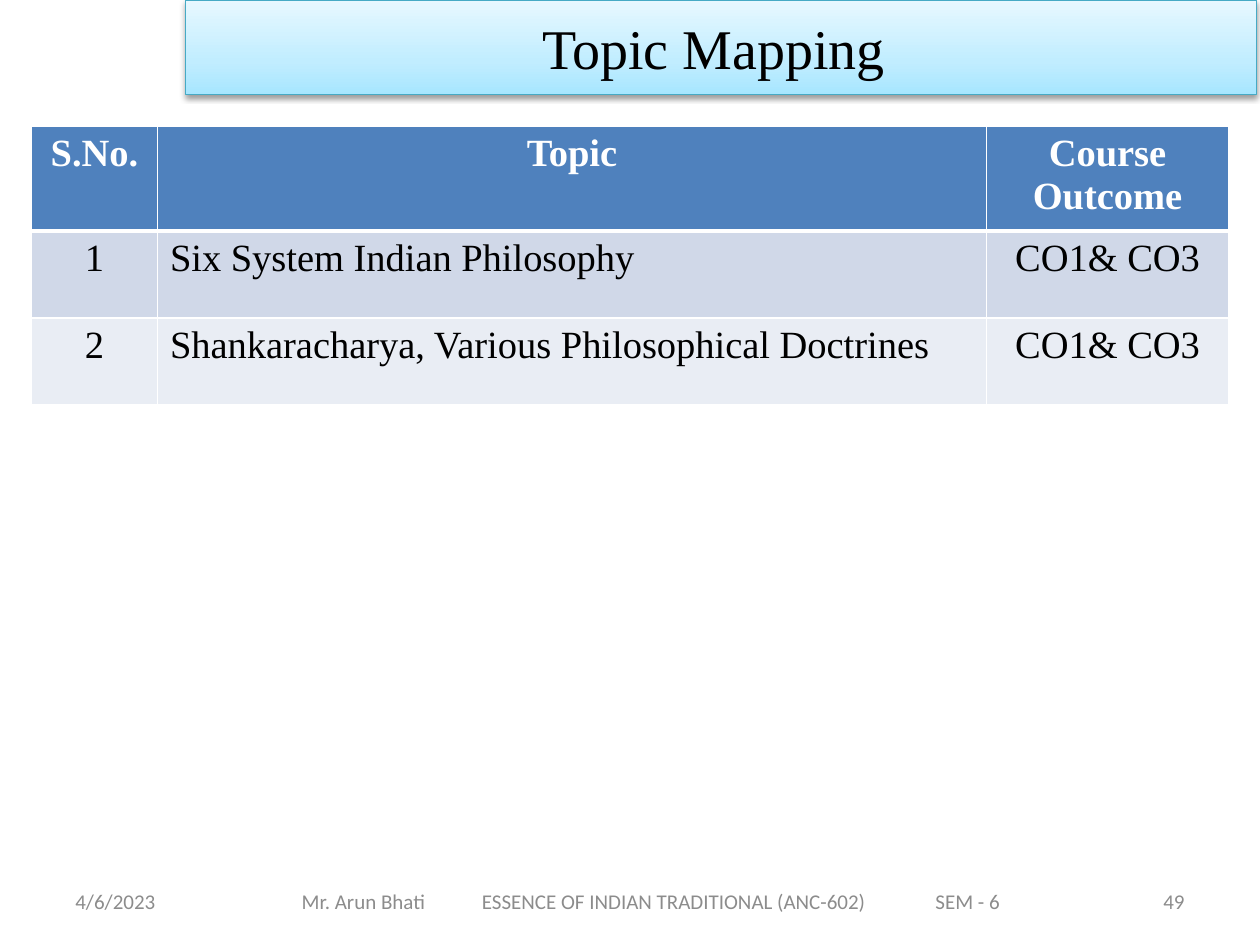
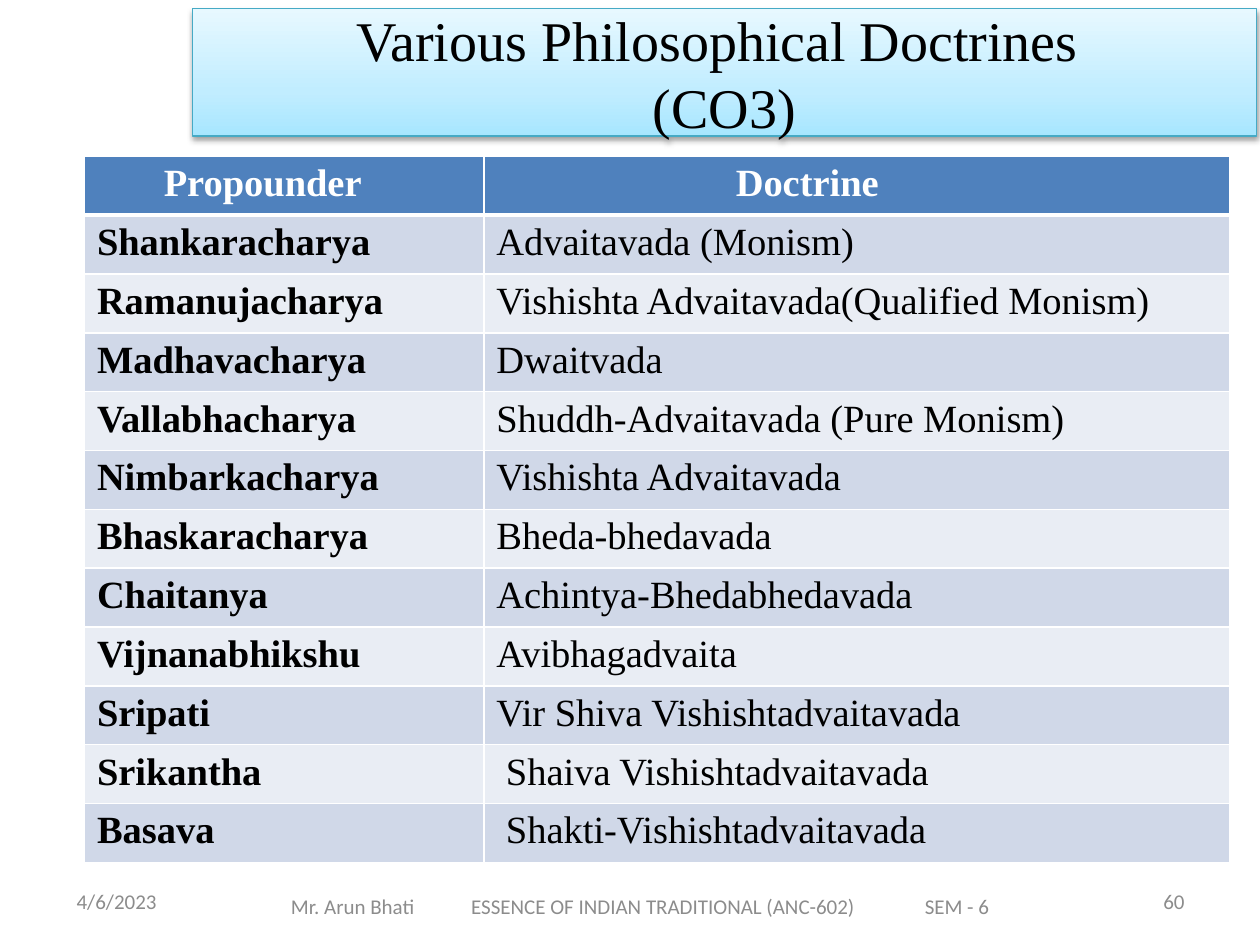
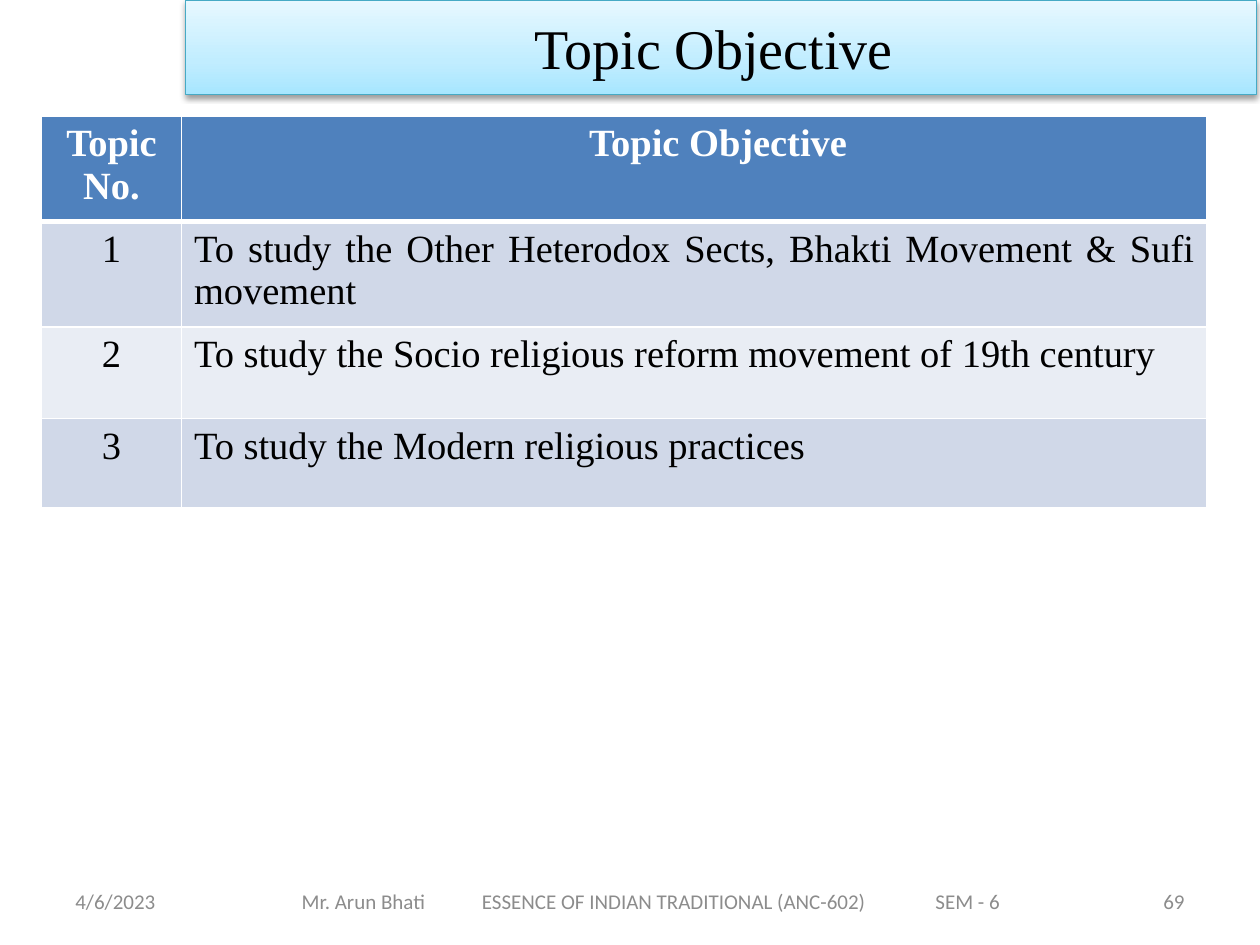
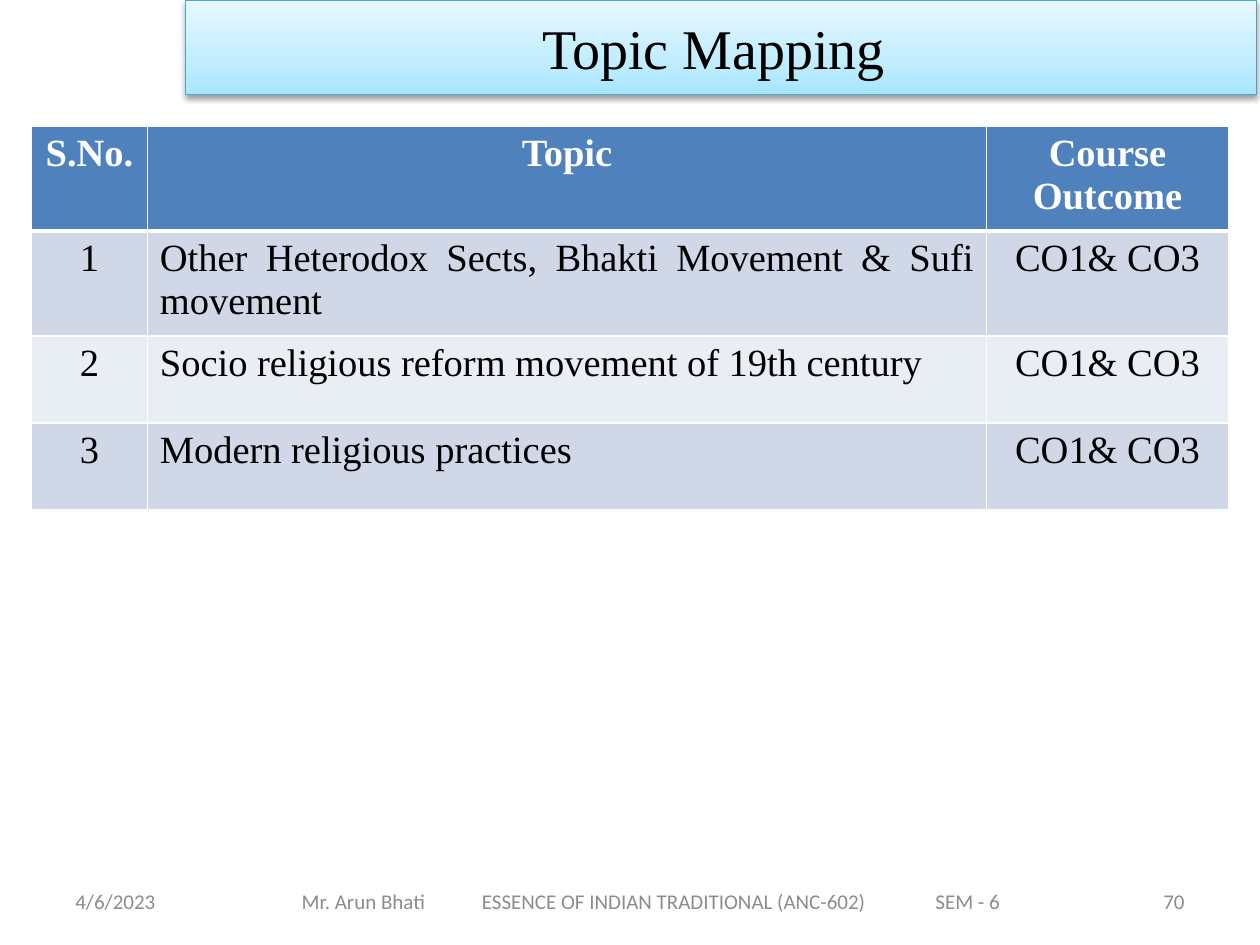
import copy
from dataclasses import dataclass

import pptx
import pptx.dml.color
import pptx.enum.text
import pptx.oxml
import pptx.oxml.ns
import pptx.presentation
import pptx.slide
import pptx.table
import pptx.text.text
import pptx.util

Inches = pptx.util.Inches
Pt = pptx.util.Pt
RGB = pptx.dml.color.RGBColor.from_string
Align = pptx.enum.text.PP_ALIGN
Box = tuple[float, float, float, float]

A_NS = pptx.oxml.ns.nsdecls("a")
INSET = 0.1


@dataclass(frozen=True)
class Theme:
    serif: str = "Times New Roman"
    sans: str = "Calibri"
    title_size: int = 32
    table_size: int = 22
    footer_size: int = 12
    text: str = "000000"
    white: str = "FFFFFF"
    grey: str = "8C8C8C"
    header: str = "4F81BD"
    bands: tuple[str, str] = ("D0D8E8", "E9EDF4")
    title_line: str = "46AAC5"
    title_stops: tuple[tuple[float, str], ...] = (
        (0, "A7E6FF"), (0.35, "C1EDFF"), (1, "E7F8FF"))
    rule: float = 1
    header_rule: float = 3


THEME = Theme()


@dataclass(frozen=True)
class Column:
    heading: str
    width: float
    align: Align = Align.CENTER
    bold: bool = False
    heading_align: Align = Align.CENTER
    heading_indent: float = 0


@dataclass(frozen=True)
class Grid:
    left: float
    top: float
    columns: tuple[Column, ...]
    heights: tuple[float, ...]
    rows: tuple[tuple[str, ...], ...]


@dataclass(frozen=True)
class Footer:
    """Boxes of the date, course line and page number."""
    date: Box = (0.5, 6.95, 2.33, 0.4)
    course: Box = (1.75, 6.95, 6.83, 0.4)
    number: Box = (7.17, 6.95, 2.33, 0.4)


@dataclass(frozen=True)
class Page:
    title: str
    number: int
    grid: Grid
    title_box: Box = (1.47, 0, 8.5, 0.75)
    footer: Footer = Footer()


DATE = "4/6/2023"
COURSE_LINE = "Mr. Arun Bhati\tESSENCE OF INDIAN TRADITIONAL (ANC-602)\tSEM - 6"
COURSE_TABS = (1.43, 5.03)
COURSE_HALF_WIDTH = 2.77
OUTCOMES = "CO1& CO3"


def mapping_grid(number_width: float, topics: tuple[str, ...]) -> Grid:
    """Table of numbered topics and their course outcomes."""
    columns = (
        Column("S.No.", number_width),
        Column("Topic", 7.58 - number_width, Align.JUSTIFY),
        Column("Course Outcome", 1.92),
    )
    rows = tuple((str(n), topic, OUTCOMES) for n, topic in enumerate(topics, 1))
    return Grid(0.25, 1, columns, (0.81,) + (0.69,) * len(rows), rows)


DOCTRINES = (
    ("Shankaracharya", "Advaitavada (Monism)"),
    ("Ramanujacharya", "Vishishta Advaitavada(Qualified Monism)"),
    ("Madhavacharya", "Dwaitvada"),
    ("Vallabhacharya", "Shuddh-Advaitavada (Pure Monism)"),
    ("Nimbarkacharya", "Vishishta Advaitavada"),
    ("Bhaskaracharya", "Bheda-bhedavada"),
    ("Chaitanya", "Achintya-Bhedabhedavada"),
    ("Vijnanabhikshu", "Avibhagadvaita"),
    ("Sripati", "Vir Shiva Vishishtadvaitavada"),
    ("Srikantha", " Shaiva Vishishtadvaitavada"),
    ("Basava", " Shakti-Vishishtadvaitavada"),
)
DOCTRINE_COLUMNS = (
    Column("Propounder", 3.17, Align.JUSTIFY, True, Align.LEFT, 0.53),
    Column("Doctrine", 5.92, Align.LEFT, False, Align.LEFT, 1.9),
)
OBJECTIVE_COLUMNS = (
    Column("Topic No.", 1.11),
    Column("Topic Objective", 8.14, Align.JUSTIFY, heading_indent=0.38),
)
OBJECTIVES = (
    ("1", "To study the Other Heterodox Sects, Bhakti Movement & Sufi movement"),
    ("2", "To study the Socio religious reform movement of 19th century"),
    ("3", "To study the Modern religious practices"),
)

PAGES = (
    Page("Topic Mapping ", 49, mapping_grid(1, (
        "Six System Indian Philosophy",
        "Shankaracharya, Various Philosophical Doctrines",
    ))),
    Page(
        "Various Philosophical Doctrines \n(CO3)", 60,
        Grid(0.67, 1.24, DOCTRINE_COLUMNS, (0.43,) * (len(DOCTRINES) + 1), DOCTRINES),
        title_box=(1.53, 0.07, 8.44, 1.01),
        footer=Footer(date=(0.51, 6.95, 2.33, 0.4), course=(1.58, 6.95, 7, 0.48),
                      number=(8.58, 6.95, 0.92, 0.4)),
    ),
    Page("Topic Objective ", 69, Grid(
        0.33, 0.92, OBJECTIVE_COLUMNS, (0.84, 0.73, 0.73, 0.71), OBJECTIVES)),
    Page("Topic Mapping ", 70, mapping_grid(0.92, (
        "Other Heterodox Sects, Bhakti Movement & Sufi movement",
        "Socio religious reform movement of 19th century",
        "Modern religious practices",
    ))),
)


def style(tf: pptx.text.text.TextFrame, font: str, size: int, color: str,
          align: Align, bold: bool = False) -> None:
    for p in tf.paragraphs:
        p.alignment = align
        p.font.name, p.font.size, p.font.bold = font, Pt(size), bold
        p.font.color.rgb = RGB(color)


def add_title(slide: pptx.slide.Slide, page: Page) -> None:
    sp = slide.shapes.title
    sp.left, sp.top, sp.width, sp.height = map(Inches, page.title_box)
    sp.fill.gradient()
    gs_lst = sp._element.spPr.find(".//" + pptx.oxml.ns.qn("a:gsLst"))
    gs_lst.append(copy.deepcopy(gs_lst[0]))
    for stop, (position, color) in zip(sp.fill.gradient_stops, THEME.title_stops):
        stop.position = position
        stop.color.rgb = RGB(color)
    sp.fill.gradient_angle = 90
    sp.line.color.rgb = RGB(THEME.title_line)
    sp.line.width = Pt(0.75)
    sp.shadow.inherit = False
    sp._element.spPr.find(pptx.oxml.ns.qn("a:effectLst")).append(pptx.oxml.parse_xml(
        f'<a:outerShdw {A_NS} blurRad="40000" dist="20000" dir="5400000" '
        'rotWithShape="0"><a:srgbClr val="000000"><a:alpha val="38000"/>'
        '</a:srgbClr></a:outerShdw>'))
    tf = sp.text_frame
    tf.text = page.title
    tf.auto_size = pptx.enum.text.MSO_AUTO_SIZE.NONE
    tf.vertical_anchor = pptx.enum.text.MSO_ANCHOR.MIDDLE
    style(tf, THEME.serif, THEME.title_size, THEME.text, Align.CENTER)


def add_footer_text(slide: pptx.slide.Slide, box: Box, text: str,
                    align: Align = Align.LEFT) -> pptx.text.text.TextFrame:
    tf = slide.shapes.add_textbox(*map(Inches, box)).text_frame
    tf.word_wrap = True
    tf.vertical_anchor = pptx.enum.text.MSO_ANCHOR.MIDDLE
    tf.text = text
    style(tf, THEME.sans, THEME.footer_size, THEME.grey, align)
    return tf


def add_footer(slide: pptx.slide.Slide, page: Page) -> None:
    footer = page.footer
    add_footer_text(slide, footer.date, DATE)
    tf = add_footer_text(slide, footer.course, COURSE_LINE)
    tf.margin_left = Inches(footer.course[2] / 2 - COURSE_HALF_WIDTH)
    tabs = "".join(f'<a:tab pos="{Inches(x)}" algn="l"/>' for x in COURSE_TABS)
    # The tab list has to come before the paragraph's default run properties.
    tf.paragraphs[0]._p.get_or_add_pPr().insert(
        0, pptx.oxml.parse_xml(f"<a:tabLst {A_NS}>{tabs}</a:tabLst>"))
    add_footer_text(slide, footer.number, str(page.number), Align.RIGHT)


def set_borders(cell: pptx.table._Cell, top: float, bottom: float) -> None:
    tc_pr = cell._tc.get_or_add_tcPr()
    widths = {"L": THEME.rule, "R": THEME.rule, "T": top, "B": bottom}
    for i, (side, width) in enumerate(widths.items()):
        tc_pr.insert(i, pptx.oxml.parse_xml(
            f'<a:ln{side} {A_NS} w="{Pt(width)}"><a:solidFill>'
            f'<a:srgbClr val="{THEME.white}"/></a:solidFill></a:ln{side}>'))


def fill_cell(cell: pptx.table._Cell, text: str, row: int, column: Column) -> None:
    is_header = row == 0
    cell.text = text
    cell.fill.solid()
    cell.fill.fore_color.rgb = RGB(
        THEME.header if is_header else THEME.bands[(row - 1) % 2])
    if is_header:
        cell.margin_left = Inches(INSET + column.heading_indent)
    style(cell.text_frame, THEME.serif, THEME.table_size,
          THEME.white if is_header else THEME.text,
          column.heading_align if is_header else column.align,
          is_header or column.bold)
    set_borders(cell, top=THEME.header_rule if row == 1 else THEME.rule,
                bottom=THEME.header_rule if is_header else THEME.rule)


def add_grid(slide: pptx.slide.Slide, grid: Grid) -> None:
    columns = grid.columns
    table = slide.shapes.add_table(
        len(grid.heights), len(columns), Inches(grid.left), Inches(grid.top),
        Inches(sum(c.width for c in columns)), Inches(sum(grid.heights))).table
    table.horz_banding = False
    for table_column, column in zip(table.columns, columns):
        table_column.width = Inches(column.width)
    for table_row, height in zip(table.rows, grid.heights):
        table_row.height = Inches(height)
    headings = tuple(c.heading for c in columns)
    for i, texts in enumerate((headings, *grid.rows)):
        for j, (text, column) in enumerate(zip(texts, columns)):
            fill_cell(table.cell(i, j), text, i, column)


def add_page(prs: pptx.presentation.Presentation, page: Page) -> None:
    slide = prs.slides.add_slide(prs.slide_layouts.get_by_name("Title Only"))
    add_footer(slide, page)
    add_title(slide, page)
    add_grid(slide, page.grid)


def main() -> None:
    prs = pptx.Presentation()
    prs.slide_width, prs.slide_height = Inches(10), Inches(7.5)
    for page in PAGES:
        add_page(prs, page)
    prs.save("out.pptx")


if __name__ == "__main__":
    main()
